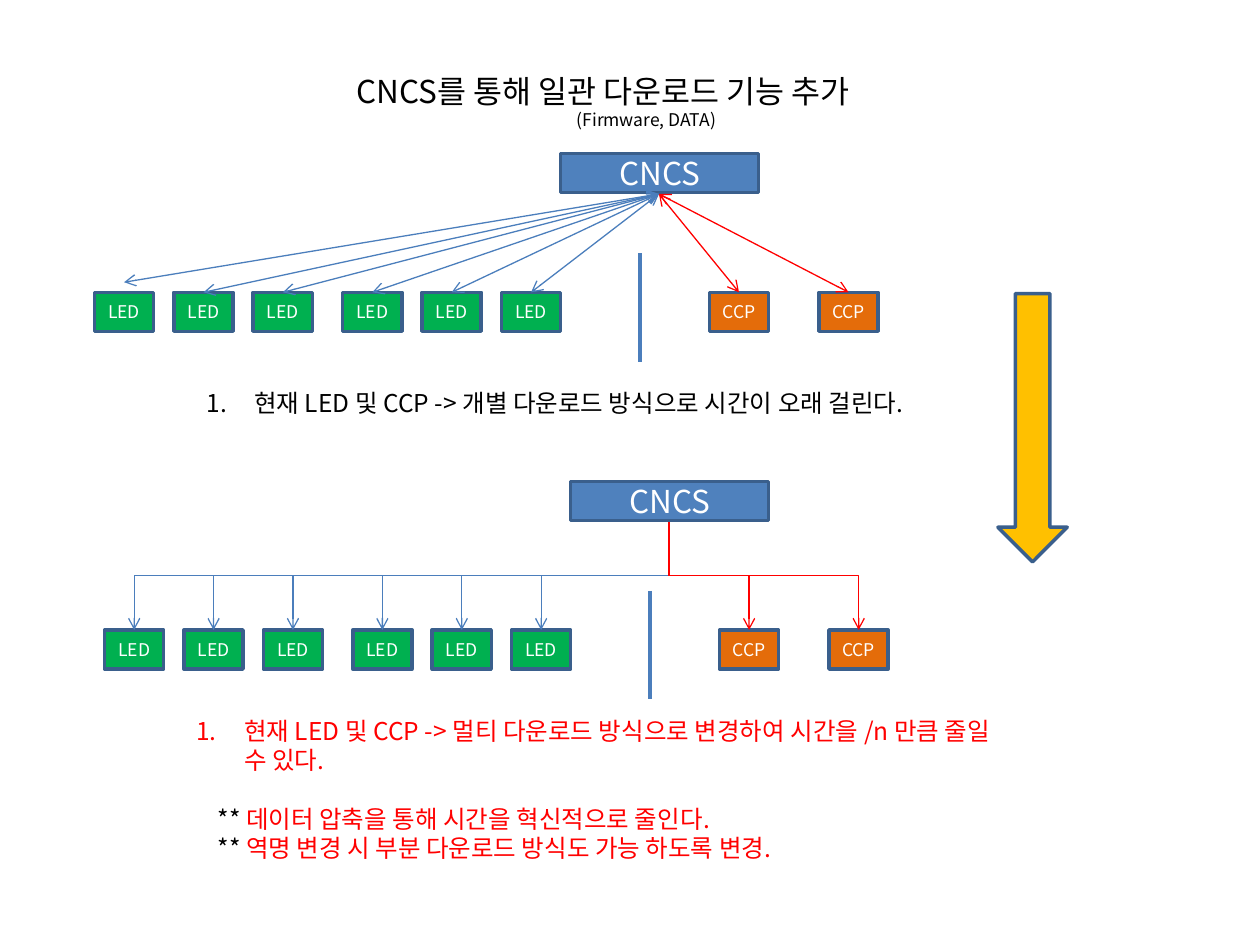
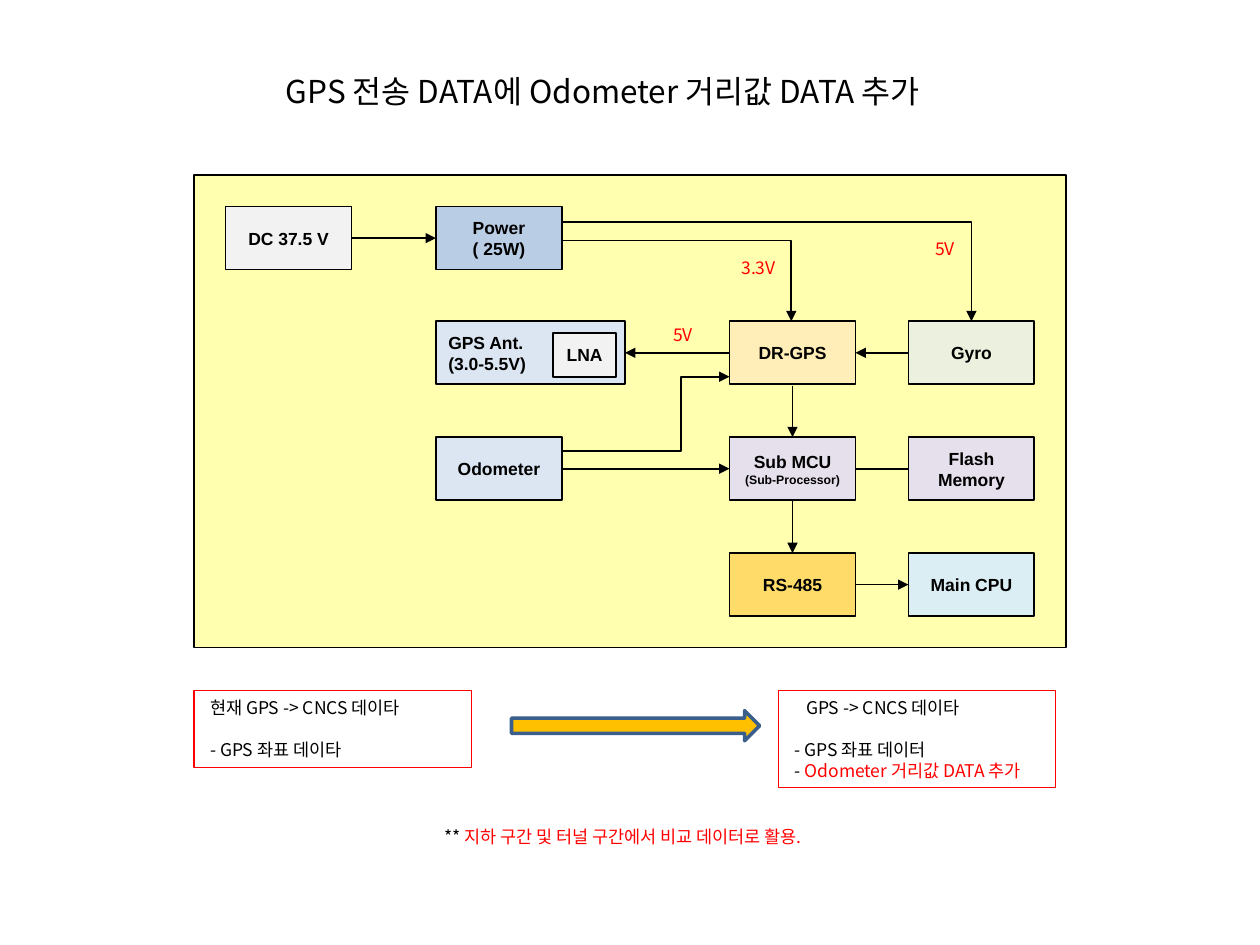
"""Build two slides on batch downloading and on adding odometer data to GPS messages."""
from dataclasses import dataclass

from lxml.etree import SubElement
from pptx import Presentation
from pptx.dml.color import RGBColor
from pptx.enum.shapes import MSO_CONNECTOR, MSO_SHAPE
from pptx.enum.text import MSO_ANCHOR, PP_ALIGN
from pptx.oxml.ns import qn
from pptx.util import Inches, Pt

KOREAN, LATIN = "Noto Sans CJK KR", "Arial"
BLACK, WHITE, RED = "000000", "FFFFFF", "FF0000"
BLUE, EDGE, WIRE = "4F81BD", "3A5F8C", "4B7EBC"
GREEN, ORANGE, GOLD = "00B050", "E46C0A", "FFC000"
LINE_FACTOR = 1.2


@dataclass
class Line:
    """One paragraph, given as (text, colour) runs."""
    runs: list
    size: float = 10
    centred: bool = False
    indent: float = 0
    numbered: bool = False
    gap: bool = False
    font: str = KOREAN
    bold: bool = False


TITLE_1 = [Line([("CNCS를 통해 일관 다운로드 기능 추가", BLACK)], 18),
           Line([("(Firmware, DATA)", BLACK)], centred=True)]
TITLE_2 = [Line([("GPS 전송 DATA에 Odometer 거리값 DATA 추가", BLACK)], 18)]
CURRENT_NOTE = [Line([("현재 LED 및 CCP -> 개별 다운로드 방식으로 시간이 오래 걸린다.", BLACK)],
                     14, numbered=True)]
IMPROVED_NOTE = [
    Line([("현재 LED 및 CCP -> 멀티 다운로드 방식으로 변경하여 시간을 /n 만큼 줄일 수 있다.", RED)],
         14, numbered=True),
    Line([("** ", BLACK), ("데이터 압축을 통해 시간을 혁신적으로 줄인다.", RED)],
         14, indent=0.17, gap=True),
    Line([("** ", BLACK), ("역명 변경 시 부분 다운로드 방식도 가능 하도록 변경.", RED)],
         14, indent=0.17),
]
BEFORE = [Line([("현재 GPS -> CNCS 데이타", BLACK)], indent=0.03),
          Line([("- GPS 좌표 데이타", BLACK)], indent=0.03, gap=True)]
AFTER = [Line([("GPS -> CNCS 데이타", BLACK)], indent=0.12),
         Line([("- GPS 좌표 데이터", BLACK)], indent=0.03, gap=True),
         Line([("- ", BLACK), ("Odometer 거리값 DATA 추가", RED)], indent=0.03)]
USE_NOTE = [Line([("** ", BLACK), ("지하 구간 및 터널 구간에서 비교 데이터로 활용.", RED)])]

LED_LEFTS = [0.75 + 0.63 * i + (0.08 if i > 2 else 0) for i in range(6)]
CCP_LEFTS = [5.63, 6.5]
UNIT_WIDTH, UNIT_HEIGHT = 0.47, 0.31

COLUMNS = {"supply": 1.79, "source": 3.46, "core": 5.79, "side": 7.21}
ROWS = [1.64, 2.55, 3.47, 4.39]
BLOCK_WIDTH, BLOCK_HEIGHT = 1, 0.5
BLOCKS = [
    ("supply", 0, "F2F2F2", [("DC 37.5 V", 10)]),
    ("source", 0, "B9CDE5", [("Power", 10), ("( 25W)", 10)]),
    ("source", 2, "DCE6F2", [("Odometer", 10)]),
    ("core", 1, "FFEEB7", [("DR-GPS", 10)]),
    ("side", 1, "EBF1DE", [("Gyro", 10)]),
    ("side", 2, "E6E0EC", [("Flash Memory", 10)]),
    ("side", 3, "DBEEF4", [("Main CPU", 10)]),
    ("core", 2, "E6E0EC", [("Sub MCU", 10), ("(Sub-Processor)", 7)]),
    ("core", 3, "FFDB69", [("RS-485", 10)]),
]
LINKS = [
    ((2.79, 1.89), (3.46, 1.89), "triangle"),
    ((5.79, 2.8), (4.96, 2.8), "triangle"),
    ((7.21, 2.8), (6.79, 2.8), "triangle"),
    ((6.79, 4.64), (7.21, 4.64), "triangle"),
    ((6.29, 3.97), (6.29, 4.39), "triangle"),
    ((6.79, 3.72), (7.21, 3.72), None),
    ((6.29, 3.06), (6.29, 3.47), "triangle"),
    ((4.46, 3.72), (5.79, 3.72), "triangle"),
]
BENT_LINKS = [
    ((4.46, 3.58), (5.79, 2.99), "bentConnector3", 0.71),
    ((4.46, 1.76), (7.71, 2.55), "bentConnector2", None),
    ((4.46, 1.91), (6.28, 2.55), "bentConnector2", None),
]
VOLTAGES = [(5.17, 2.52, "5V"), (5.77, 1.99, "3.3V"), (7.25, 1.84, "5V")]


def colour(value):
    return RGBColor.from_string(value)


def write(shape, lines, anchor=MSO_ANCHOR.TOP):
    frame = shape.text_frame
    frame.word_wrap = True
    frame.vertical_anchor = anchor
    for index, line in enumerate(lines):
        para = frame.paragraphs[0] if index == 0 else frame.add_paragraph()
        para.alignment = PP_ALIGN.CENTER if line.centred else PP_ALIGN.LEFT
        if line.font == KOREAN:
            para.line_spacing = Pt(line.size * LINE_FACTOR)
        if line.gap:
            para.space_before = Pt(line.size * LINE_FACTOR)
        properties = para._p.get_or_add_pPr()
        if line.numbered:
            properties.set("marL", str(Inches(0.38)))
            properties.set("indent", str(-Inches(0.38)))
            SubElement(properties, qn("a:buAutoNum"), type="arabicPeriod")
        elif line.indent:
            properties.set("marL", str(Inches(line.indent)))
        para.font.size = Pt(line.size)
        para.font.name = line.font
        para.font.bold = line.bold
        for text, tint in line.runs:
            span = para.add_run()
            span.text = text
            span.font.size = Pt(line.size)
            span.font.name = line.font
            span.font.color.rgb = colour(tint)
            SubElement(span._r.get_or_add_rPr(), qn("a:ea"), typeface=line.font)


def add_text(page, place, lines):
    write(page.shapes.add_textbox(*map(Inches, place)), lines)


def add_box(page, place, fill, edge, weight, lines=(), kind=MSO_SHAPE.RECTANGLE,
            anchor=MSO_ANCHOR.MIDDLE):
    box = page.shapes.add_shape(kind, *map(Inches, place))
    box.shadow.inherit = False
    if fill:
        box.fill.solid()
        box.fill.fore_color.rgb = colour(fill)
    else:
        box.fill.background()
    box.line.color.rgb = colour(edge)
    box.line.width = Pt(weight)
    write(box, lines, anchor)
    return box


def add_line(page, start, end, tint, weight, head=None, tail=None, kind=MSO_CONNECTOR.STRAIGHT):
    line = page.shapes.add_connector(kind, *map(Inches, (*start, *end)))
    line.line.color.rgb = colour(tint)
    line.line.width = Pt(weight)
    outline = line.line._get_or_add_ln()
    for tag, arrow in (("a:headEnd", head), ("a:tailEnd", tail)):
        if arrow:
            SubElement(outline, qn(tag), type=arrow)
    SubElement(line._element.spPr, qn("a:effectLst"))
    return line


def add_bent(page, start, end, preset, bend):
    line = add_line(page, start, end, BLACK, 1, tail="triangle", kind=MSO_CONNECTOR.ELBOW)
    geometry = line._element.spPr.find(qn("a:prstGeom"))
    geometry.set("prst", preset)
    if bend:
        SubElement(geometry.find(qn("a:avLst")), qn("a:gd"),
                   name="adj1", fmla=f"val {round(bend * 100000)}")


def add_drop(page, start, end, tint):
    """Draw an elbow that leaves downwards, by turning a level one a quarter."""
    middle_x, middle_y = (start[0] + end[0]) / 2, (start[1] + end[1]) / 2
    half_drop, half_run = (end[1] - start[1]) / 2, abs(end[0] - start[0]) / 2
    rightward = end[0] > start[0]
    side = half_drop if rightward else -half_drop
    line = add_line(page, (middle_x + side, middle_y - half_run),
                    (middle_x - side, middle_y + half_run), tint, 0.75,
                    tail="arrow", kind=MSO_CONNECTOR.ELBOW)
    line._element.spPr.find(qn("a:xfrm")).set("rot", str((270 if rightward else 90) * 60000))


def add_network(page, shift, server_top, unit_top):
    """Draw server, units and divider; return the hub point and the unit tops."""
    def label(text, size):
        return [Line([(text, WHITE)], size, centred=True)]

    server_left = 4.45 + shift
    add_box(page, (server_left, server_top, 1.57, 0.31), BLUE, EDGE, 2, label("CNCS", 18))
    targets = []
    for name, lefts, fill, tint in (("LED", LED_LEFTS, GREEN, WIRE),
                                    ("CCP", CCP_LEFTS, ORANGE, RED)):
        for left in lefts:
            place = (left + shift, unit_top, UNIT_WIDTH, UNIT_HEIGHT)
            add_box(page, place, fill, EDGE, 2, label(name, 10))
            targets.append(((left + shift + UNIT_WIDTH / 2, unit_top), tint))
    divider = 5.08 + shift
    add_line(page, (divider, unit_top - 0.31), (divider, unit_top + 0.55), WIRE, 2.25)
    return (server_left + 0.78, server_top + 0.32), targets


def download_slide(page):
    add_text(page, (2.73, 0.52, 4.8, 0.57), TITLE_1)
    hub, targets = add_network(page, 0, 1.22, 2.32)
    for index, ((x, y), tint) in enumerate(targets):
        end = (x, y if index else y - 0.08)
        add_line(page, hub, end, tint, 0.75, "arrow", "arrow")
    add_text(page, (1.54, 3.03, 6.54, 0.34), CURRENT_NOTE)

    hub, targets = add_network(page, 0.08, 3.82, 5)
    for end, tint in targets:
        add_drop(page, hub, end, tint)
    add_text(page, (1.46, 5.63, 6.54, 1.28), IMPROVED_NOTE)
    arrow = add_box(page, (7.13, 3.12, 2.13, 0.55), GOLD, EDGE, 2, kind=MSO_SHAPE.RIGHT_ARROW)
    arrow.rotation = 90


def gps_slide(page):
    def label(rows, centred=True):
        return [Line([(text, BLACK)], size, centred, font=LATIN, bold=True)
                for text, size in rows]

    add_text(page, (2.17, 0.52, 5.98, 0.4), TITLE_2)
    add_box(page, (1.54, 1.39, 6.92, 3.75), "FFFFAF", BLACK, 1)
    for column, row, fill, rows in BLOCKS:
        place = (COLUMNS[column], ROWS[row], BLOCK_WIDTH, BLOCK_HEIGHT)
        add_box(page, place, fill, BLACK, 1, label(rows))
    add_box(page, (COLUMNS["source"], ROWS[1], 1.5, BLOCK_HEIGHT), "DCE6F2", BLACK, 1,
            label([("GPS Ant.", 10), ("(3.0-5.5V)", 10)], centred=False))
    add_box(page, (4.39, 2.64, 0.5, 0.35), "F2F2F2", BLACK, 1, label([("LNA", 10)]))
    for start, end, tail in LINKS:
        add_line(page, start, end, BLACK, 1, tail=tail)
    for link in BENT_LINKS:
        add_bent(page, *link)
    for left, top, text in VOLTAGES:
        add_text(page, (left, top, 0.5, 0.27), [Line([(text, RED)], centred=True)])

    for left, height, lines in ((1.54, 0.61, BEFORE), (6.18, 0.77, AFTER)):
        add_box(page, (left, 5.48, 2.2, height), None, RED, 0.75, lines, anchor=MSO_ANCHOR.TOP)
    add_box(page, (4.06, 5.64, 1.97, 0.24), GOLD, EDGE, 2, kind=MSO_SHAPE.RIGHT_ARROW)
    add_text(page, (3.43, 6.51, 3.7, 0.27), USE_NOTE)


def main():
    deck = Presentation()
    deck.slide_width, deck.slide_height = Inches(10), Inches(7.5)
    for build in (download_slide, gps_slide):
        build(deck.slides.add_slide(deck.slide_layouts[6]))
    deck.save("out.pptx")


if __name__ == "__main__":
    main()
